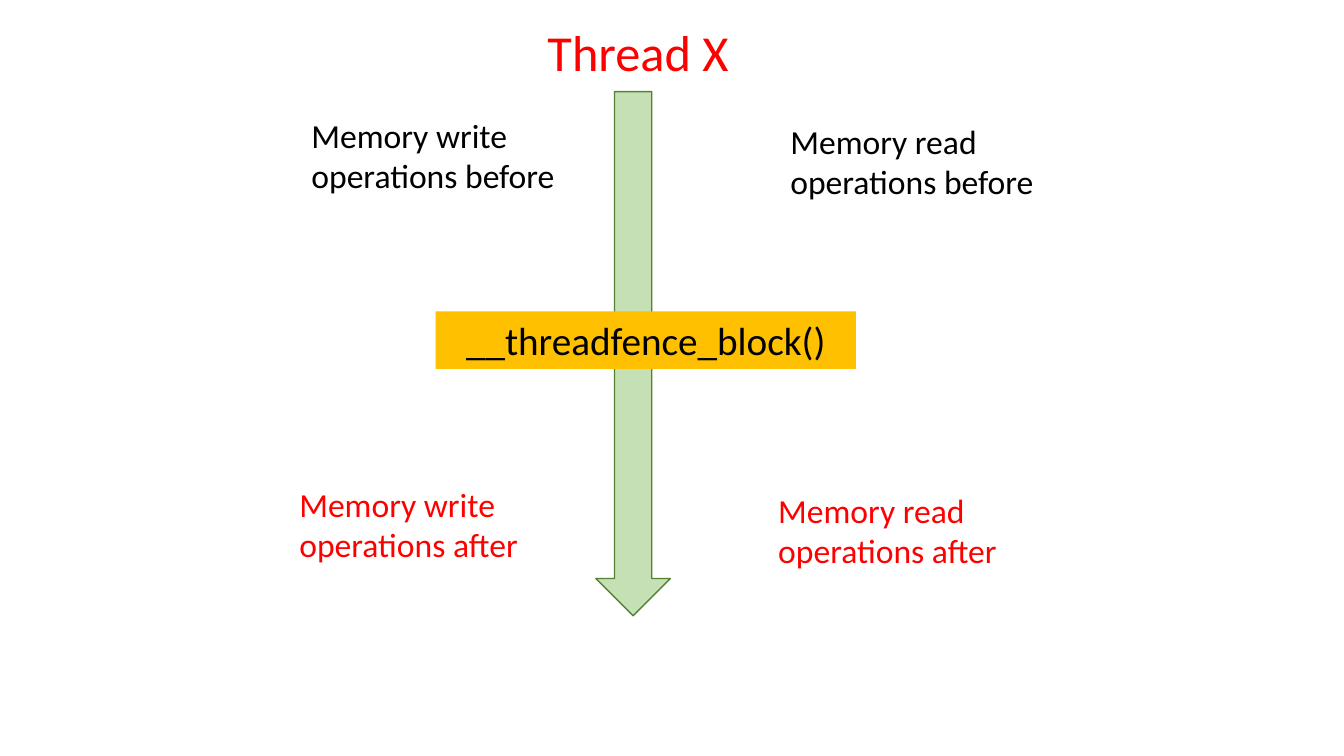
from dataclasses import dataclass

from pptx import Presentation
from pptx.dml.color import RGBColor
from pptx.enum.shapes import MSO_SHAPE
from pptx.enum.text import MSO_ANCHOR, MSO_AUTO_SIZE, PP_ALIGN
from pptx.util import Inches, Pt


@dataclass(frozen=True)
class Theme:
    font: str = "Calibri"
    black: RGBColor = RGBColor(0x00, 0x00, 0x00)
    red: RGBColor = RGBColor(0xFF, 0x00, 0x00)
    amber: RGBColor = RGBColor(0xFF, 0xC0, 0x00)
    light_green: RGBColor = RGBColor(0xC5, 0xE0, 0xB4)
    dark_green: RGBColor = RGBColor(0x54, 0x82, 0x35)
    title_size: Pt = Pt(36)
    fence_size: Pt = Pt(28)
    label_size: Pt = Pt(24)


theme = Theme()


def write_text(shape, text, size, color, alignment=PP_ALIGN.LEFT, anchor=MSO_ANCHOR.TOP):
    frame = shape.text_frame
    frame.text = text
    frame.word_wrap = True
    frame.auto_size = MSO_AUTO_SIZE.NONE
    frame.vertical_anchor = anchor
    paragraph = frame.paragraphs[0]
    paragraph.alignment = alignment
    font = paragraph.runs[0].font
    font.name = theme.font
    font.size = size
    font.color.rgb = color


presentation = Presentation()
presentation.slide_width = Inches(13.33)
presentation.slide_height = Inches(7.5)
slide = presentation.slides.add_slide(presentation.slide_layouts[5])

# Title
title = slide.shapes.title
title.left, title.top = Inches(5.33), Inches(0.16)
title.width, title.height = Inches(2.66), Inches(0.71)
write_text(title, "Thread X", theme.title_size, theme.red)

# Thread timeline
timeline = slide.shapes.add_shape(
    MSO_SHAPE.DOWN_ARROW, Inches(5.91), Inches(0.91), Inches(0.74), Inches(5.2))
timeline.shadow.inherit = False
timeline.fill.solid()
timeline.fill.fore_color.rgb = theme.light_green
timeline.line.color.rgb = theme.dark_green
timeline.line.width = Pt(1)

# Memory fence across the timeline
fence = slide.shapes.add_shape(
    MSO_SHAPE.RECTANGLE, Inches(4.32), Inches(3.09), Inches(4.17), Inches(0.57))
fence.shadow.inherit = False
fence.fill.solid()
fence.fill.fore_color.rgb = theme.amber
fence.line.fill.background()
write_text(fence, "__threadfence_block()", theme.fence_size, theme.black,
           PP_ALIGN.CENTER, MSO_ANCHOR.MIDDLE)

# Operations on each side of the timeline, before and after the fence
for moment, left, top, color in (("before", 2.99, 1.09, theme.black),
                                 ("after", 2.87, 4.75, theme.red)):
    for operation, shift_right, shift_down in (("write", 0, 0), ("read", 4.75, 0.06)):
        label = slide.shapes.add_textbox(
            Inches(left + shift_right), Inches(top + shift_down), Inches(2.92), Inches(0.91))
        write_text(label, f"Memory {operation} operations {moment}", theme.label_size, color)

presentation.save("out.pptx")
